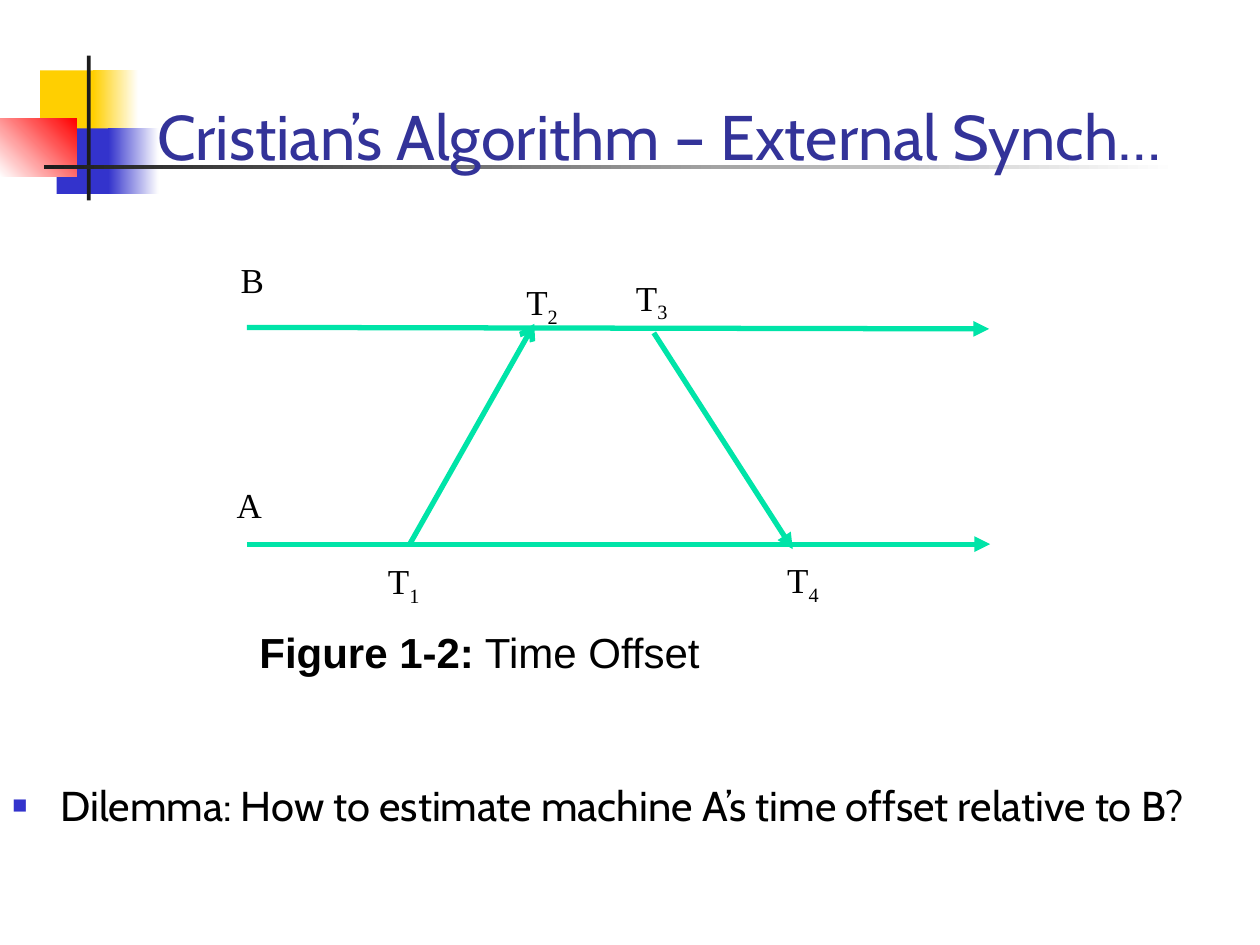
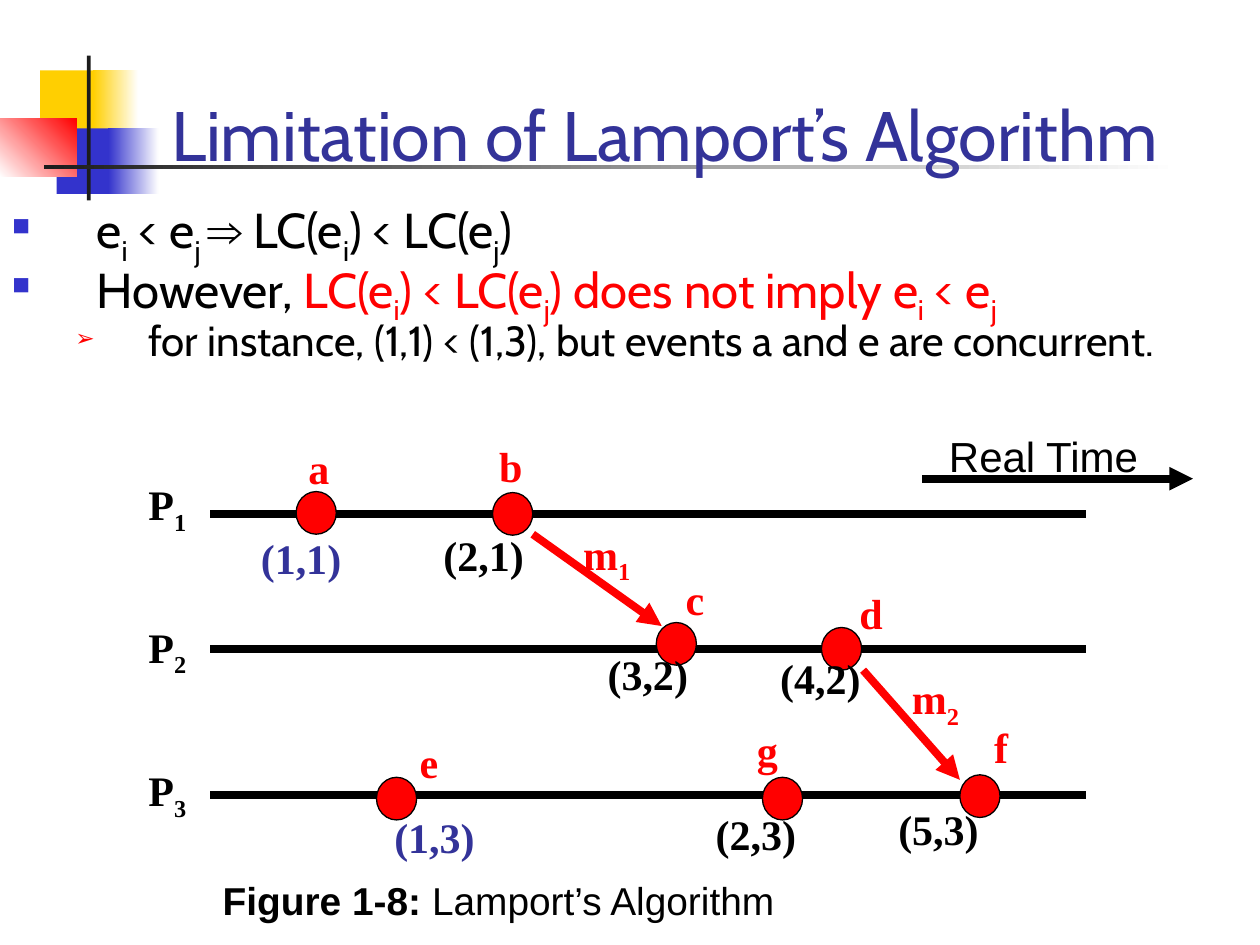
from dataclasses import dataclass

from lxml.etree import SubElement
from pptx import Presentation
from pptx.dml.color import RGBColor
from pptx.enum.shapes import MSO_CONNECTOR, MSO_SHAPE
from pptx.enum.text import MSO_ANCHOR, PP_ALIGN
from pptx.oxml.ns import qn
from pptx.util import Cm, Pt

COLORS = {
    "yellow": "FFCF01",
    "blue": "3333CC",
    "red": "FF0000",
    "white": "FFFFFF",
    "charcoal": "1C1C1C",
    "title": "333399",
    "black": "000000",
    "green": "00E4A8",
}
HEADING_FONT = "Cabin"
CAPTION_FONT = "Arial"
DIAGRAM_FONT = "Times New Roman"


@dataclass
class Box:
    left: float
    top: float
    width: float
    height: float

    def inner(self, left, top, width, height):
        return Box(self.left + left, self.top + top, width, height)

    def centered(self, center, top, width, height):
        return self.inner(center - width / 2, top, width, height)

    def point(self, x, y):
        return Cm(self.left + x), Cm(self.top + y)

    def lengths(self):
        return Cm(self.left), Cm(self.top), Cm(self.width), Cm(self.height)


def rgb(color):
    return RGBColor.from_string(COLORS[color])


def set_font(font, name, size, color=None, bold=None):
    font.name = name
    font.size = Pt(size)
    font.bold = bold
    if color:
        font.color.rgb = rgb(color)


def add_runs(paragraph, text):
    runs = []
    for index, part in enumerate(text.split("~")):
        if part:
            run = paragraph.add_run()
            run.text = part
            if index % 2:
                run.font._element.set("baseline", "-25000")
            runs.append(run)
    return runs


def add_text_frame(slide, box, wrap=True):
    frame = slide.shapes.add_textbox(*box.lengths()).text_frame
    frame.word_wrap = wrap
    return frame


def add_label(slide, box, text, size, color="black", bold=False,
              font=DIAGRAM_FONT, align=PP_ALIGN.CENTER):
    paragraph = add_text_frame(slide, box, wrap=False).paragraphs[0]
    paragraph.alignment = align
    add_runs(paragraph, text)
    set_font(paragraph.font, font, size, color, bold)


def add_bullet(paragraph, character, color, percent, margin, indent):
    properties = paragraph._p.get_or_add_pPr()
    properties.set("marL", str(Cm(margin)))
    properties.set("indent", str(Cm(indent)))
    bullet_color = SubElement(properties, qn("a:buClr"))
    SubElement(bullet_color, qn("a:srgbClr"), val=COLORS[color])
    SubElement(properties, qn("a:buSzPct"), val=str(percent * 1000))
    SubElement(properties, qn("a:buFont"), typeface=CAPTION_FONT)
    SubElement(properties, qn("a:buChar"), char=character)


def add_line(slide, start, end, color, width, head=None):
    line = slide.shapes.add_connector(MSO_CONNECTOR.STRAIGHT, *start, *end)
    line.line.color.rgb = rgb(color)
    line.line.width = Pt(width)
    if head:
        SubElement(line.line._get_or_add_ln(), qn("a:tailEnd"), type=head)
    SubElement(line._element.spPr, qn("a:effectLst"))


def add_filled_shape(slide, kind, box, color, end_color=None, angle=0):
    shape = slide.shapes.add_shape(kind, *box.lengths())
    shape.shadow.inherit = False
    shape.line.fill.background()
    if end_color:
        shape.fill.gradient()
        shape.fill.gradient_angle = angle
        for stop, stop_color in zip(shape.fill.gradient_stops, (color, end_color)):
            stop.color.rgb = rgb(stop_color)
    else:
        shape.fill.solid()
        shape.fill.fore_color.rgb = rgb(color)
    return shape


def add_decoration(slide, box):
    parts = [
        ((0.81, 0.3, 1.22, 1.32), "yellow", None, 0),
        ((1.88, 0.3, 0.91, 1.32), "yellow", "white", 0),
        ((1.14, 1.47, 1.17, 1.32), "blue", None, 0),
        ((2.18, 1.47, 1.02, 1.32), "blue", "white", 0),
        ((0, 1.27, 1.55, 1.17), "white", "red", 45),
        ((1.75, 0, 0.08, 2.92), "charcoal", None, 0),
        ((0.89, 2.21, 22.86, 0.08), "charcoal", "white", 0),
    ]
    for place, color, end_color, angle in parts:
        add_filled_shape(slide, MSO_SHAPE.RECTANGLE, box.inner(*place),
                         color, end_color, angle)


def add_titled_slide(presentation, box, title, size):
    slide = presentation.slides.add_slide(presentation.slide_layouts[6])
    add_decoration(slide, Box(0, 1.12, 23.75, 2.92))
    frame = add_text_frame(slide, box)
    frame.vertical_anchor = MSO_ANCHOR.BOTTOM
    paragraph = frame.paragraphs[0]
    add_runs(paragraph, title)
    set_font(paragraph.font, HEADING_FONT, size, "title")
    return slide


def add_caption(slide, box, number, text, size, spacing=None):
    paragraph = add_text_frame(slide, box).paragraphs[0]
    paragraph.line_spacing = spacing
    add_runs(paragraph, number)[0].font.bold = True
    add_runs(paragraph, text)
    set_font(paragraph.font, CAPTION_FONT, size, "black")


def add_question(slide, box):
    paragraph = add_text_frame(slide, box).paragraphs[0]
    add_bullet(paragraph, "■", "blue", 60, 0.97, -0.97)
    add_runs(paragraph, "Dilemma: How to estimate machine A’s time offset relative to B?")
    set_font(paragraph.font, HEADING_FONT, 23.8, "black")


def add_offset_diagram(slide, box):
    lines = [
        ((0.46, 1.52), (15.42, 1.55), "triangle"),
        ((0.46, 5.89), (15.44, 5.89), "triangle"),
        ((3.74, 5.89), (6.25, 1.45), "arrow"),
        ((8.66, 1.63), (11.46, 5.99), "triangle"),
    ]
    for start, end, head in lines:
        add_line(slide, box.point(*start), box.point(*end), "green", 3, head)
    labels = [
        ("B", 0.08, 0, 0.97),
        ("A", 0, 4.55, 1.02),
        ("T~1", 3.05, 6.07, 1.14),
        ("T~2", 5.84, 0.46, 1.14),
        ("T~3", 8.05, 0.36, 1.14),
        ("T~4", 11.1, 6.05, 1.14),
    ]
    for text, left, top, width in labels:
        add_label(slide, box.inner(left, top, width, 1.22), text, 20,
                  align=PP_ALIGN.LEFT)


def add_limitation_points(slide, box):
    frame = add_text_frame(slide, box)
    square = ("■", "blue", 60, 1.7, -1.7)
    arrowhead = ("➢", "red", 55, 2.74, -1.47)
    points = [
        (square, 28, 0, [("e~i~ < e~j ~", "black", HEADING_FONT),
                         ("⇒", "black", CAPTION_FONT),
                         (" LC(e~i~) < LC(e~j~)", "black", HEADING_FONT)]),
        (square, 28, 7, [("However, ", "black", HEADING_FONT),
                         ("LC(e~i~) < LC(e~j~) does not imply e~i~ < e~j", "red",
                          HEADING_FONT)]),
        (arrowhead, 24, 6, [("for instance, (1,1) < (1,3), but events a and e are concurrent.",
                             "black", HEADING_FONT)]),
    ]
    for index, (bullet, size, space, pieces) in enumerate(points):
        paragraph = frame.add_paragraph() if index else frame.paragraphs[0]
        paragraph.level = int(bullet is arrowhead)
        paragraph.line_spacing = 0.7
        if index:
            paragraph.space_before = Pt(space)
        add_bullet(paragraph, *bullet)
        set_font(paragraph.font, HEADING_FONT, size)
        for text, color, font in pieces:
            for run in add_runs(paragraph, text):
                run.font.color.rgb = rgb(color)
                if font != HEADING_FONT:
                    run.font.name = font


def add_event(slide, box, name, dot, label, clock, clock_place, clock_color):
    shape = add_filled_shape(slide, MSO_SHAPE.OVAL, box.inner(*dot, 0.81, 0.86), "red")
    shape.line.color.rgb = rgb("black")
    shape.line.width = Pt(0.75)
    add_label(slide, box.centered(*label, 0.95, 1.27), name, 24, "red", True)
    add_label(slide, box.centered(*clock_place, 2.13, 1.27), clock, 24, clock_color, True)


def add_clock_diagram(slide, box):
    processes = [("P~1", 1.8, 0.97), ("P~2", 4.52, 3.84), ("P~3", 7.47, 6.73)]
    for name, y, label_top in processes:
        add_line(slide, box.point(1.5, y), box.point(19.15, y), "black", 4.5)
        add_label(slide, box.inner(0, label_top, 1.27, 1.42), name, 24, bold=True)

    add_line(slide, box.point(15.85, 1.09), box.point(21.31, 1.09),
             "black", 4.5, "triangle")
    add_label(slide, box.inner(16.11, 0, 4.37, 1.27), "Real Time", 24, font=CAPTION_FONT)

    events = [
        ("a", (3.23, 1.35), (3.69, 0.23), "(1,1)", (3.33, 2.06), "title"),
        ("b", (7.19, 1.37), (7.55, 0.2), "(2,1)", (7.01, 1.98), "black"),
        ("c", (10.49, 3.99), (11.27, 2.87), "(3,2)", (10.32, 4.39), "black"),
        ("d", (13.82, 4.09), (14.81, 3.15), "(4,2)", (13.8, 4.47), "black"),
        ("e", (4.85, 7.11), (5.91, 6.17), "(1,3)", (6.02, 7.67), "title"),
        ("f", (16.61, 7.06), (17.44, 5.87), "(5,3)", (16.18, 7.52), "black"),
        ("g", (12.63, 7.11), (12.73, 5.92), "(2,3)", (12.5, 7.62), "black"),
    ]
    for event in events:
        add_event(slide, box, *event)

    messages = [
        ("m~1", (8, 2.21), (10.6, 4.06), (9.49, 1.96)),
        ("m~2", (14.66, 4.95), (16.61, 7.16), (16.12, 4.88)),
    ]
    for name, start, end, label in messages:
        add_line(slide, box.point(*start), box.point(*end), "red", 4.5, "triangle")
        add_label(slide, box.centered(*label, 1.45, 1.42), name, 24, "red", True)


def build_offset_slide(presentation):
    slide = add_titled_slide(presentation, Box(2.92, 1.27, 22.17, 2.34),
                             "Cristian’s Algorithm – External Synch…", 36)
    add_question(slide, Box(0, 15.6, 25.4, 2.34))
    add_offset_diagram(slide, Box(4.52, 5.08, 15.44, 7.29))
    add_caption(slide, Box(4.98, 12.5, 12.8, 1.75), "Figure 1-2:", " Time Offset", 24)


def build_limitation_slide(presentation):
    slide = add_titled_slide(presentation, Box(3.2, 1.32, 21.64, 2.34),
                             "Limitation of Lamport’s Algorithm", 40)
    add_limitation_points(slide, Box(0, 4.14, 25.4, 4.34))
    add_clock_diagram(slide, Box(2.74, 8.56, 21.31, 8.94))
    add_caption(slide, Box(4.24, 17.65, 14.68, 1.22), "Figure 1-8:",
                " Lamport’s Algorithm", 22.2, 0.9)


def main():
    presentation = Presentation()
    presentation.slide_width = Cm(25.4)
    presentation.slide_height = Cm(19.05)
    build_offset_slide(presentation)
    build_limitation_slide(presentation)
    presentation.save("out.pptx")


if __name__ == "__main__":
    main()
